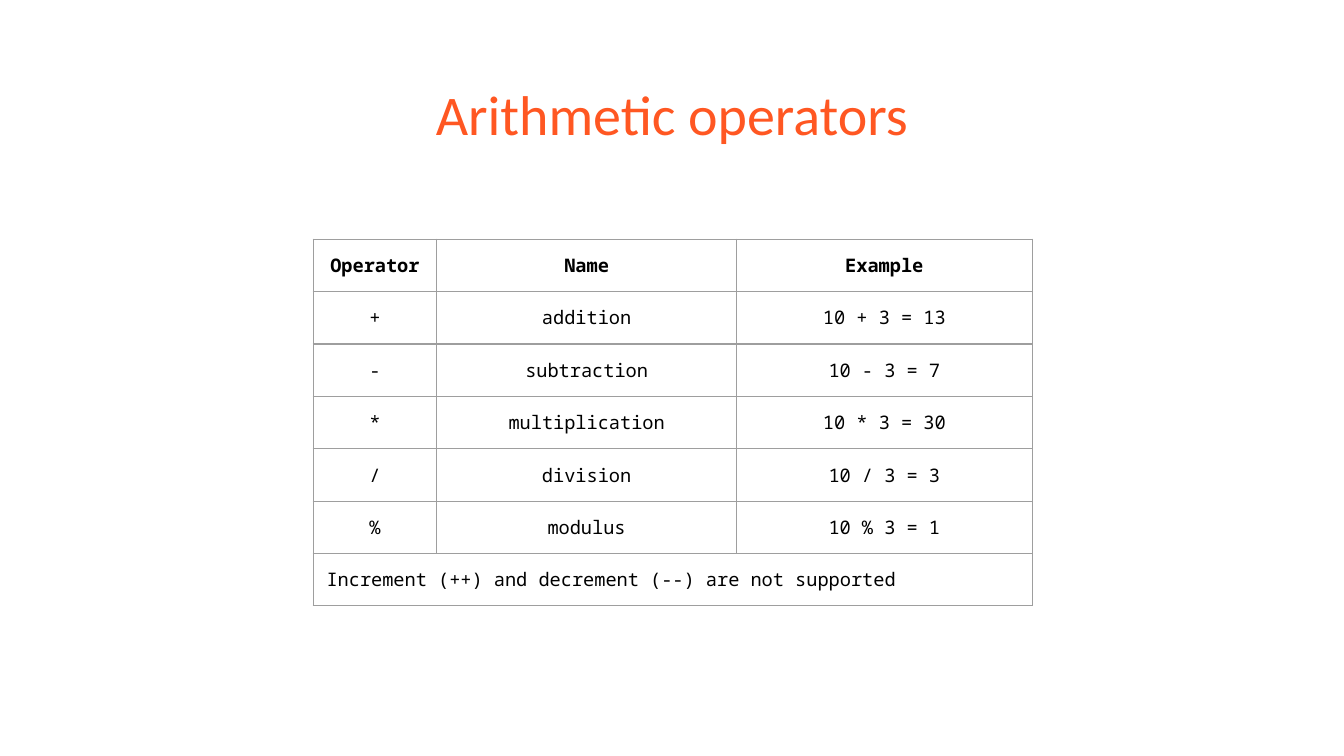
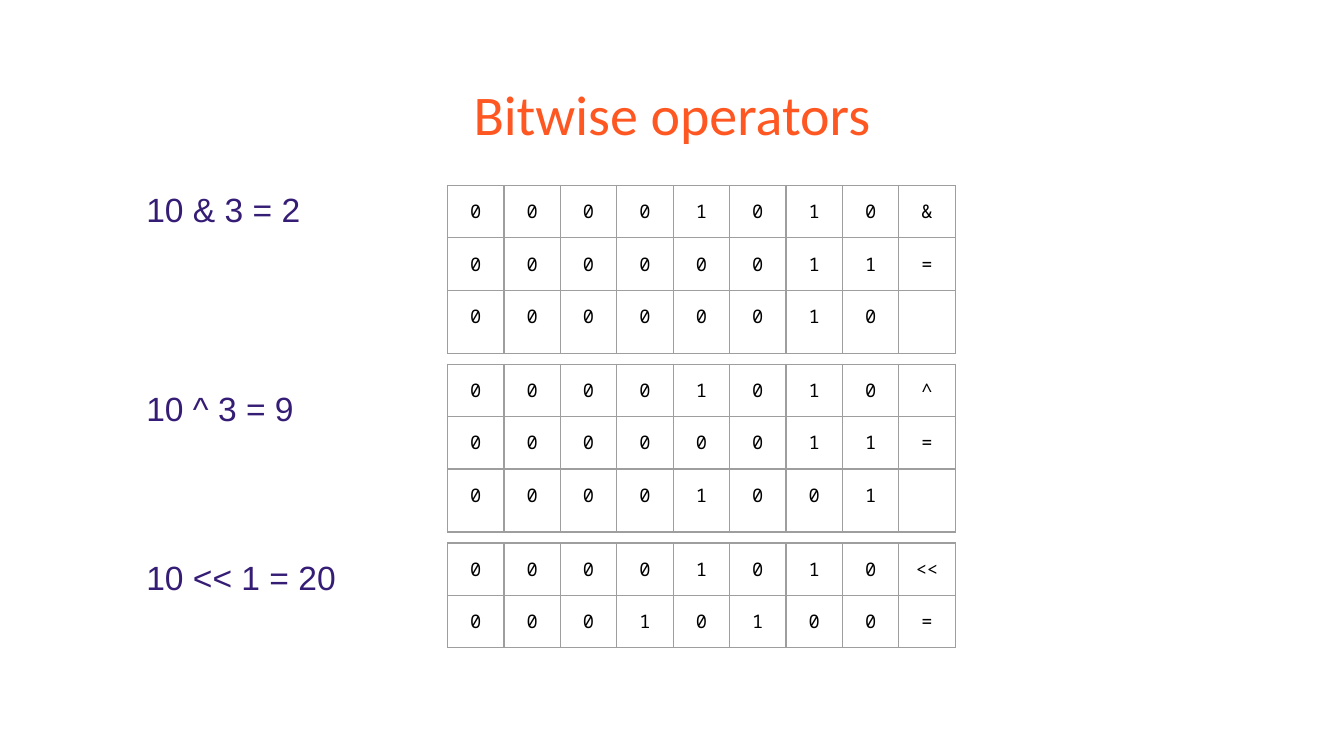
from dataclasses import dataclass

from lxml import etree
from pptx import Presentation
from pptx import util as u
from pptx.dml.color import RGBColor
from pptx.enum import text
from pptx.oxml import ns

ARITHMETIC = {
    "title": "Arithmetic operators",
    "rows": [
        ("Operator", "Name", "Example"),
        ("+", "addition", "10 + 3 = 13"),
        ("-", "subtraction", "10 - 3 = 7"),
        ("*", "multiplication", "10 * 3 = 30"),
        ("/", "division", "10 / 3 = 3"),
        ("%", "modulus", "10 % 3 = 1"),
    ],
    "note": "Increment (++) and decrement (--) are not supported",
}

# Each example: formula, points of space before it, (bits, sign) rows
BITWISE = {
    "title": "Bitwise operators",
    "examples": [
        ("10 & 3 = 2", 0,
         [("00001010", "&"), ("00000011", "="), ("00000010", "")]),
        ("10 ^ 3 = 9", 82,
         [("00001010", "^"), ("00000011", "="), ("00001001", "")]),
        ("10 << 1 = 20", 65.5,
         [("00001010", "<<"), ("00010100", "=")]),
    ],
}


@dataclass(frozen=True)
class Theme:
    title_color: str = "FF5722"
    formula_color: str = "351C75"
    cell_color: str = "000000"
    border_color: str = "9E9E9E"
    background: str = "FFFFFF"
    title_font: str = "Calibri"
    formula_font: str = "Arial"
    cell_font: str = "Noto Sans Mono"
    title_size: int = 30
    formula_size: int = 18
    cell_size: int = 10
    border: float = 0.75
    inset: float = 0.1


T = Theme()
WIDTH = 10
HEIGHT = WIDTH * 9 / 16
TITLE_BOX = (0.34, 0.49, WIDTH - 2 * 0.34, 0.63)
FORMULA_BOX = (0.99, 1.26, 8, 3.74)
ROW_H, RESULT_ROW_H = 0.39, 0.47
OPERATOR_COLS = (0.92, 2.23, 2.2)
OPERATOR_AT = (2.33, 1.78)
BIT_COLS = (0.42,) * 9
BITS_AT, BITS_STEP = (3.33, 1.38), 1.33

CENTER, LEFT = text.PP_ALIGN.CENTER, text.PP_ALIGN.LEFT


def write(p, words, *, font, size, color, bold=False, align=LEFT,
          spacing=None, before=0):
    p.alignment = align
    if spacing:
        p.line_spacing = spacing
    if before:
        p.space_before = u.Pt(before)
    r = p.add_run()
    r.text = words
    r.font.name, r.font.size, r.font.bold = font, u.Pt(size), bold
    r.font.color.rgb = RGBColor.from_string(color)


def set_insets(holder):
    holder.margin_left = holder.margin_right = u.Inches(T.inset)
    holder.margin_top = holder.margin_bottom = u.Inches(T.inset)


def add_box(slide, box):
    tf = slide.shapes.add_textbox(*map(u.Inches, box)).text_frame
    tf.word_wrap = True
    set_insets(tf)
    return tf


def add_titled_slide(prs, title):
    slide = prs.slides.add_slide(prs.slide_layouts[6])
    slide.background.fill.solid()
    slide.background.fill.fore_color.rgb = RGBColor.from_string(T.background)
    write(add_box(slide, TITLE_BOX).paragraphs[0], title, font=T.title_font,
          size=T.title_size, color=T.title_color, align=CENTER)
    return slide


def style_cell(cell):
    """Set insets and four borders, and drop the fill."""
    set_insets(cell)
    props = cell._tc.get_or_add_tcPr()
    for side in ("lnL", "lnR", "lnT", "lnB"):
        line = etree.SubElement(props, ns.qn(f"a:{side}"),
                                w=str(u.Pt(T.border)))
        fill = etree.SubElement(line, ns.qn("a:solidFill"))
        etree.SubElement(fill, ns.qn("a:srgbClr"), val=T.border_color)
    cell.fill.background()


def add_grid(slide, at, cols, rows, heights, header=False):
    """Add a bordered table; a one-item row spans every column."""
    frame = slide.shapes.add_table(
        len(rows), len(cols),
        *map(u.Inches, (*at, sum(cols), sum(heights))))
    table = frame.table
    table.first_row = table.horz_banding = False
    for col, width in zip(table.columns, cols):
        col.width = u.Inches(width)
    for i, (row, height) in enumerate(zip(rows, heights)):
        table.rows[i].height = u.Inches(height)
        for cell in table.rows[i].cells:
            style_cell(cell)
            cell.text_frame.paragraphs[0].font.size = u.Pt(T.cell_size)
        spans = len(row) == 1
        if spans:
            table.cell(i, 0).merge(table.cell(i, len(cols) - 1))
        for j, words in enumerate(row):
            if words:
                write(table.cell(i, j).text_frame.paragraphs[0], words,
                      font=T.cell_font, size=T.cell_size, color=T.cell_color,
                      bold=header and i == 0, align=LEFT if spans else CENTER)


def add_arithmetic(prs):
    slide = add_titled_slide(prs, ARITHMETIC["title"])
    rows = ARITHMETIC["rows"] + [(ARITHMETIC["note"],)]
    add_grid(slide, OPERATOR_AT, OPERATOR_COLS, rows, [ROW_H] * len(rows),
             header=True)


def add_bitwise(prs):
    slide = add_titled_slide(prs, BITWISE["title"])
    tf = add_box(slide, FORMULA_BOX)
    left, top = BITS_AT
    for i, (formula, before, lines) in enumerate(BITWISE["examples"]):
        p = tf.add_paragraph() if i else tf.paragraphs[0]
        write(p, formula, font=T.formula_font, size=T.formula_size,
              color=T.formula_color, spacing=1.15, before=before)
        rows = [(*bits, sign) for bits, sign in lines]
        heights = [ROW_H if sign else RESULT_ROW_H for _, sign in lines]
        add_grid(slide, (left, top + i * BITS_STEP), BIT_COLS, rows, heights)


def main():
    prs = Presentation()
    prs.slide_width, prs.slide_height = u.Inches(WIDTH), u.Inches(HEIGHT)
    add_arithmetic(prs)
    add_bitwise(prs)
    prs.save("out.pptx")


if __name__ == "__main__":
    main()
